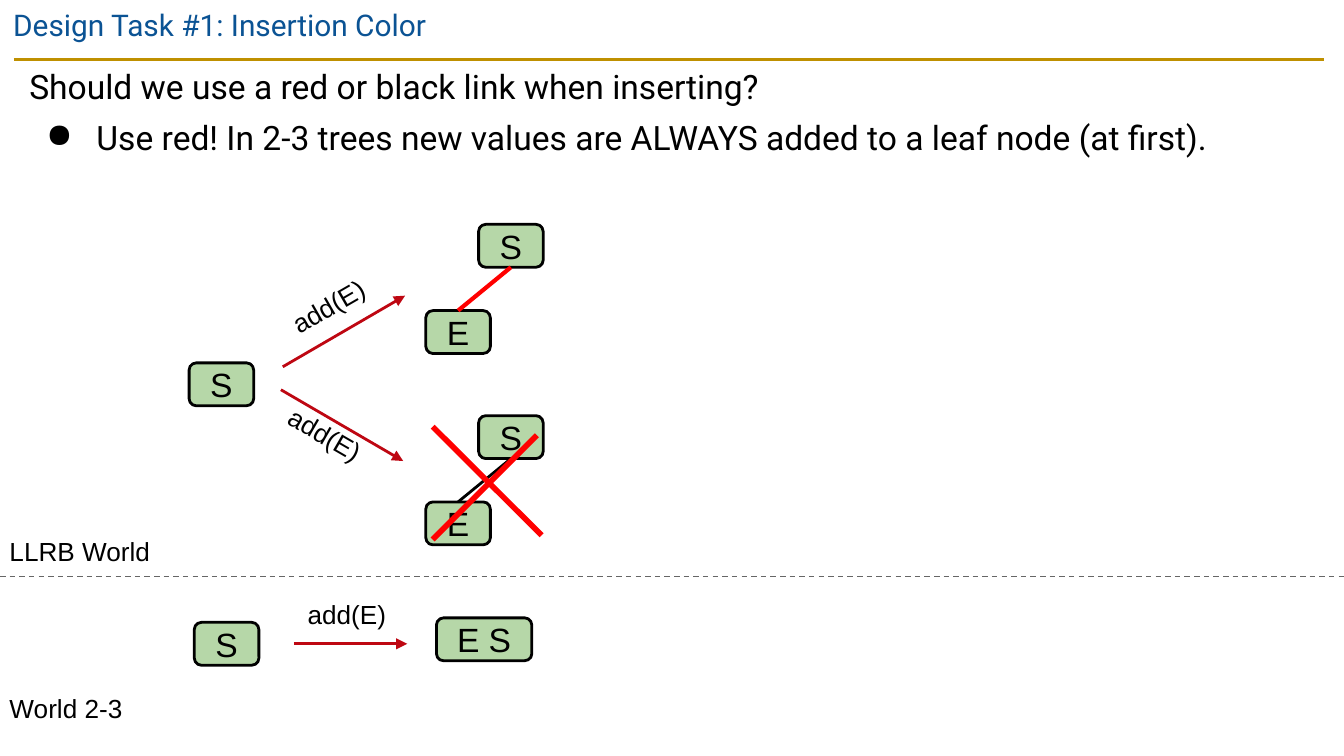
"""Build the slide on choosing a link color for LLRB insertion."""
from lxml.etree import SubElement
from pptx import Presentation
from pptx.dml.color import RGBColor
from pptx.enum.dml import MSO_LINE_DASH_STYLE as DASH
from pptx.enum.shapes import MSO_CONNECTOR as CONNECTOR, MSO_SHAPE as SHAPE
from pptx.enum.text import MSO_ANCHOR as ANCHOR, PP_ALIGN as ALIGN
from pptx.oxml.ns import qn
from pptx.util import Pt

BLACK = RGBColor(0, 0, 0)
BLUE = RGBColor(0x0B, 0x53, 0x94)
GOLD = RGBColor(0xBF, 0x90, 0x00)
GREEN = RGBColor(0xB6, 0xD7, 0xA8)
GRAY = RGBColor(0x66, 0x66, 0x66)
CRIMSON = RGBColor(0xBE, 0x07, 0x12)
RED = RGBColor(0xFF, 0, 0)

TITLE = "Design Task #1: Insertion Color"
QUESTION = "Should we use a red or black link when inserting?"
ANSWER = "Use red! In 2-3 trees new values are ALWAYS added to a leaf node (at first)."

NODE_W, NODE_H = 34.6, 23
WIDE_NODE_W = 51.1
CHILD_DX, CHILD_DY = -28.3, 46.2
NODES = [("S", 101.3, 194.4, NODE_W), ("S", 104.1, 333.4, NODE_W),
         ("E S", 233.8, 331, WIDE_NODE_W)]
TREES = [("S", "E", 256.4, 222.7, BLACK, 1.5), ("S", "E", 256.4, 120.2, RED, 2.25)]
ARROWS = [(150.5, 208.8, 216, 247), (157.5, 344.9, 218.2, 344.9),
          (151.5, 196.5, 217, 158.4)]
CROSS = [(231.8, 228.6, 290.2, 286.8), (231.8, 289, 287.6, 233.2)]
WORLDS = [("LLRB World", 283), ("World 2-3", 367.2)]
ADD_LABELS = [(146.2, 138.2, 330), (157.7, 316.8, 0), (140.4, 233.3, 30)]


def add_run(p, text, size, font, color):
    r = p.add_run()
    r.text = text
    r.font.size = Pt(size)
    r.font.name = font
    r.font.color.rgb = color


def add_text(shapes, x, y, w, h, text, size=14, font="Arial", color=BLACK):
    box = shapes.add_textbox(Pt(x), Pt(y), Pt(w), Pt(h))
    box.text_frame.word_wrap = True
    add_run(box.text_frame.paragraphs[0], text, size, font, color)
    return box


def add_line(shapes, x1, y1, x2, y2, color, width, arrow=False):
    line = shapes.add_connector(CONNECTOR.STRAIGHT, Pt(x1), Pt(y1), Pt(x2), Pt(y2))
    line.line.color.rgb = color
    line.line.width = Pt(width)
    if arrow:
        SubElement(line.line._get_or_add_ln(), qn("a:tailEnd"), type="triangle")
    SubElement(line._element.spPr, qn("a:effectLst"))
    return line


def add_node(shapes, text, x, y, w=NODE_W):
    node = shapes.add_shape(SHAPE.ROUNDED_RECTANGLE, Pt(x), Pt(y), Pt(w), Pt(NODE_H))
    node.shadow.inherit = False
    node.fill.solid()
    node.fill.fore_color.rgb = GREEN
    node.line.color.rgb = BLACK
    node.line.width = Pt(1.5)
    tf = node.text_frame
    tf.vertical_anchor = ANCHOR.MIDDLE
    p = tf.paragraphs[0]
    p.alignment = ALIGN.CENTER
    add_run(p, text, 18, "Arial", BLACK)
    return node


def add_tree(shapes, parent, child, x, y, color, width):
    group = shapes.add_group_shape().shapes
    top = add_node(group, parent, x, y)
    leaf = add_node(group, child, x + CHILD_DX, y + CHILD_DY)
    half = NODE_W / 2
    link = add_line(group, x + CHILD_DX + half, y + CHILD_DY, x + half, y + NODE_H,
                    color, width)
    link.begin_connect(leaf, 0)
    link.end_connect(top, 2)


def add_body(shapes):
    tf = add_text(shapes, 8.6, 31.7, 671, 269.3, QUESTION, 18, "Roboto").text_frame
    p = tf.add_paragraph()
    add_run(p, ANSWER, 18, "Roboto", BLACK)
    pPr = p._p.get_or_add_pPr()
    pPr.set("marL", str(Pt(36)))
    pPr.set("indent", str(Pt(-27)))
    for p in tf.paragraphs:
        p.space_before = Pt(6)
    SubElement(pPr, qn("a:buChar"), char="●")


def main():
    prs = Presentation()
    prs.slide_width, prs.slide_height = Pt(720), Pt(405)
    s = prs.slides.add_slide(prs.slide_layouts[6])
    shapes = s.shapes

    add_line(shapes, 7.4, 31.7, 709.2, 31.7, GOLD, 1.5)
    add_text(shapes, 0, 0, 671, 31, TITLE, 16, "Roboto", BLUE)
    add_body(shapes)
    for node in NODES:
        add_node(shapes, *node)
    for tree in TREES:
        add_tree(shapes, *tree)
    divider = add_line(shapes, 0, 308.7, 720, 308.7, GRAY, 0.75)
    divider.line.dash_style = DASH.DASH
    for arrow in ARROWS:
        add_line(shapes, *arrow, CRIMSON, 1.5, arrow=True)
    for stroke in CROSS:
        add_line(shapes, *stroke, RED, 3)
    for name, y in WORLDS:
        add_text(shapes, -2, y, 99.4, 21, name)
    for x, y, angle in ADD_LABELS:
        add_text(shapes, x, y, 109.4, 32.4, "add(E)").rotation = angle

    prs.save("out.pptx")


if __name__ == "__main__":
    main()
